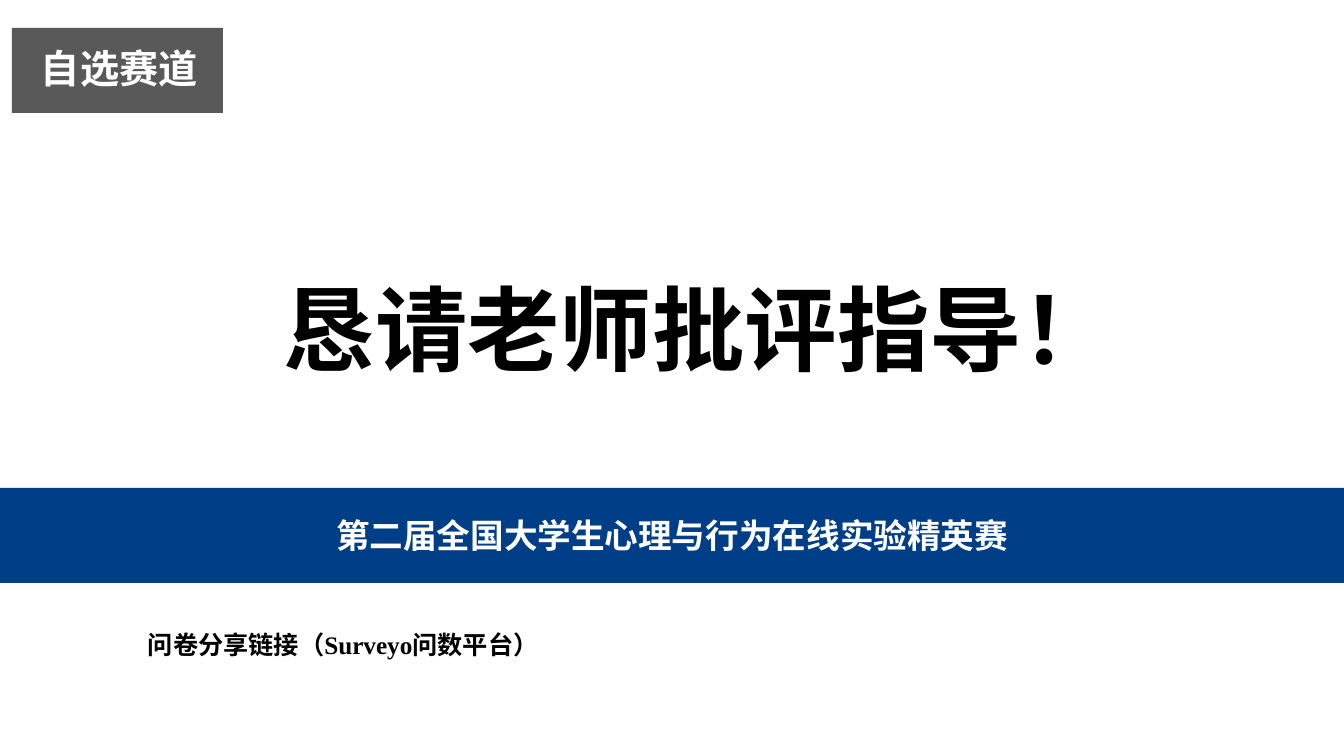
from lxml import etree
from pptx import Presentation
from pptx import util as u
from pptx.dml.color import RGBColor
from pptx.enum import shapes, text
from pptx.oxml.ns import qn

PX = 12192000 / 1344
SANS = "Noto Sans CJK SC"
SERIF = "Times New Roman"
WHITE = RGBColor(0xFF, 0xFF, 0xFF)
BLACK = RGBColor(0, 0, 0)
GREY = RGBColor(0x59, 0x59, 0x59)
BLUE = RGBColor(0x00, 0x3F, 0x88)


def px(*lengths):
    return [u.Emu(round(length * PX)) for length in lengths]


def style(run, size, color, latin=SANS):
    run.font.size = u.Pt(size)
    run.font.bold = True
    run.font.color.rgb = color
    run.font.name = latin
    east_asian = etree.SubElement(run.font._element, qn("a:ea"))
    east_asian.set("typeface", SANS)


deck = Presentation()
deck.slide_width, deck.slide_height = px(1344, 756)
slide = deck.slides.add_slide(deck.slide_layouts[0])
thanks, track = slide.placeholders

badge = slide.shapes.add_shape(shapes.MSO_SHAPE.RECTANGLE, *px(12, 28, 211, 85))
banner = slide.shapes.add_shape(shapes.MSO_SHAPE.RECTANGLE, *px(0, 488, 1344, 95))
for block, color in ((badge, GREY), (banner, BLUE)):
    block.shadow.inherit = False
    block.fill.solid()
    block.fill.fore_color.rgb = color
    block.line.fill.background()

banner.text_frame.text = "第二届全国大学生心理与行为在线实验精英赛"
banner.text_frame.vertical_anchor = text.MSO_ANCHOR.MIDDLE
contest = banner.text_frame.paragraphs[0]
contest.alignment = text.PP_ALIGN.CENTER
style(contest.runs[0], 24, WHITE)

for holder, words, box, size, color, align in (
    (track, "自选赛道", (41, 0, 798, 136), 28, WHITE, text.PP_ALIGN.LEFT),
    (thanks, "恳请老师批评指导！", (115, 187, 1167, 282), 66, BLACK, text.PP_ALIGN.CENTER),
):
    holder.left, holder.top, holder.width, holder.height = px(*box)
    slide.shapes._spTree.append(holder._element)
    frame = holder.text_frame
    frame.text = words
    frame.word_wrap = True
    frame.auto_size = text.MSO_AUTO_SIZE.NONE
    frame.vertical_anchor = text.MSO_ANCHOR.MIDDLE
    frame.margin_left = frame.margin_right = 0
    line = frame.paragraphs[0]
    line.alignment = align
    line.space_before = u.Pt(10)
    style(line.runs[0], size, color)

survey = slide.shapes.add_textbox(*px(138, 624, 672, 40)).text_frame
survey.word_wrap = True
survey.auto_size = text.MSO_AUTO_SIZE.SHAPE_TO_FIT_TEXT
for words, latin in (("问卷分享链接", SANS), ("（Surveyo问数平台）", SERIF)):
    part = survey.paragraphs[0].add_run()
    part.text = words
    style(part, 18, BLACK, latin)

deck.save("out.pptx")
